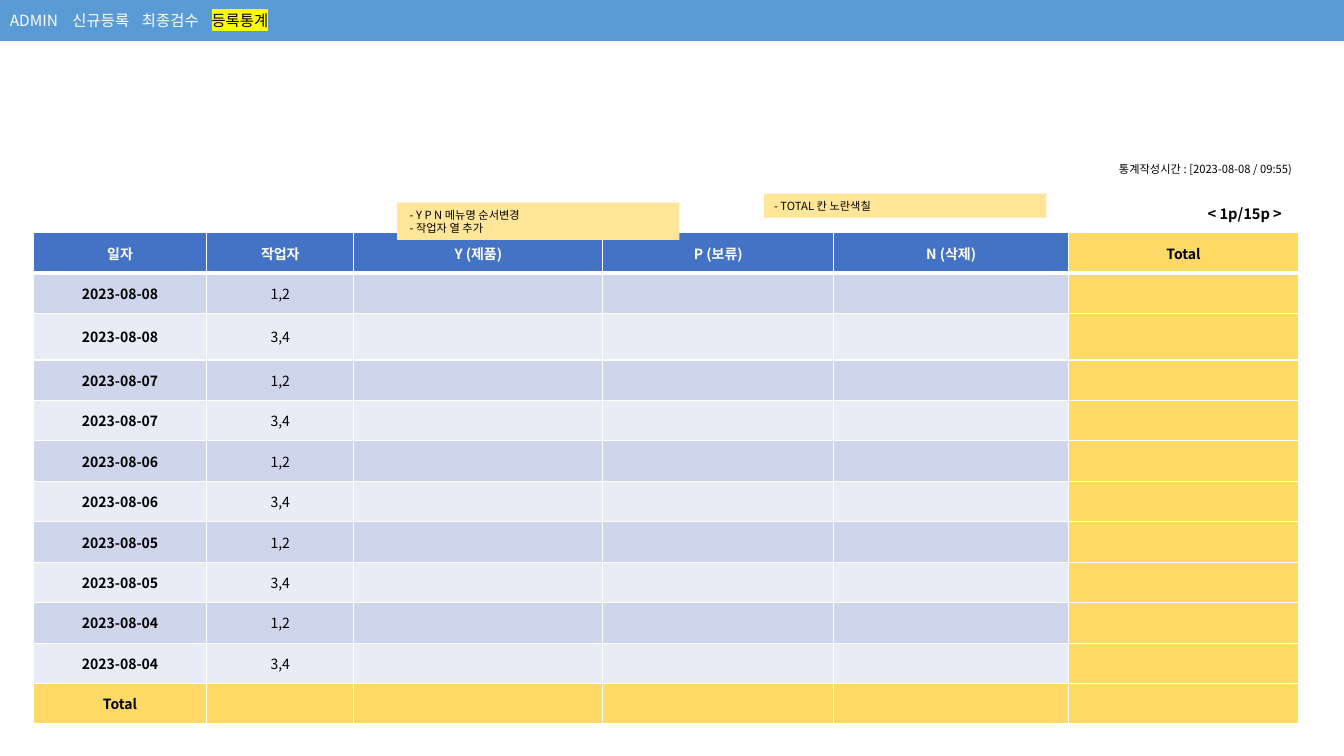
import pptx
import pptx.util
import pptx.dml.color
import pptx.enum.shapes
import pptx.enum.text
import pptx.oxml.ns
from lxml import etree

WIDE, HIGH = pptx.util.Inches(13.33), pptx.util.Inches(7.5)
FACE = "Noto Sans CJK KR"
BLACK, WHITE, GOLD, NOTE = "000000", "FFFFFF", "FFD966", "FFE699"
BLUE, BANDS = "4472C4", ("CFD5EA", "E9EBF5")
ANCHOR = pptx.enum.text.MSO_ANCHOR

MENU = ["ADMIN", "신규등록", "최종검수", "등록통계"]
HEADS = ["일자", "작업자", "Y (제품)", "P (보류)", "N (삭제)", "Total"]
DAYS = ["2023-08-08", "2023-08-07", "2023-08-06", "2023-08-05", "2023-08-04"]
TEAMS = ["1,2", "3,4"]
COLS = [12.9, 10.95, 18.53, 17.18, 17.48, 17.1]  # percent of slide width
ROW, TALL = 5.35, 6.13  # percent of slide height


def across(share):
    return round(WIDE * share / 100)


def down(share):
    return round(HIGH * share / 100)


def box(left, top, width, height):
    return across(left), down(top), across(width), down(height)


def color(code):
    return pptx.dml.color.RGBColor.from_string(code)


def node(parent, tag, **attrs):
    return etree.SubElement(parent, pptx.oxml.ns.qn(tag), **attrs)


def style(run, size, tint=BLACK, bold=False):
    font = run.font
    font.size, font.bold, font.name = pptx.util.Pt(size), bold, FACE
    font.color.rgb = color(tint)
    node(run._r.get_or_add_rPr(), "a:ea", typeface=FACE)


def mark(run, tint):
    props = run._r.get_or_add_rPr()
    light = node(props, "a:highlight")
    node(light, "a:srgbClr", val=tint)
    props.find(pptx.oxml.ns.qn("a:solidFill")).addnext(light)


def write(frame, lines, size, bold=False, anchor=ANCHOR.MIDDLE):
    frame.word_wrap = True
    frame.vertical_anchor = anchor
    frame.text = "\n".join(lines)
    for para in frame.paragraphs:
        para.alignment = pptx.enum.text.PP_ALIGN.LEFT
        for run in para.runs:
            style(run, size, bold=bold)


def panel(slide, area, fill):
    shape = slide.shapes.add_shape(pptx.enum.shapes.MSO_SHAPE.RECTANGLE, *area)
    shape.shadow.inherit = False
    shape.fill.solid()
    shape.fill.fore_color.rgb = color(fill)
    shape.line.fill.background()
    return shape.text_frame


def label(slide, area):
    return slide.shapes.add_textbox(*area).text_frame


def menu(slide):
    frame = panel(slide, box(0, 0, 100, 5.4), "5B9BD5")
    write(frame, ["\t".join(MENU[:-1]) + "\t"], 11)
    para = frame.paragraphs[0]
    tabs = node(para._p.get_or_add_pPr(), "a:tabLst")
    for i in range(len(MENU) - 1):
        stop = pptx.util.Inches(0.62 + 0.69 * i)
        node(tabs, "a:tab", pos=str(int(stop)), algn="l")
    for run in para.runs:
        run.font.color.rgb = color(WHITE)
    # Current page
    here = para.add_run()
    here.text = MENU[-1]
    style(here, 11)
    mark(here, "FFFF00")


def edge(props, spot, side, width):
    line = etree.Element(pptx.oxml.ns.qn("a:" + side),
                         w=str(int(pptx.util.Pt(width))))
    node(node(line, "a:solidFill"), "a:srgbClr", val=WHITE)
    props.insert(spot, line)


def fill_cell(cell, text, fill, tint, bold, top, base):
    cell.fill.solid()
    cell.fill.fore_color.rgb = color(fill)
    cell.vertical_anchor = ANCHOR.MIDDLE
    cell.text_frame.text = text
    para = cell.text_frame.paragraphs[0]
    para.alignment = pptx.enum.text.PP_ALIGN.CENTER
    for run in para.runs:
        style(run, 10, tint, bold)
    if not text:
        node(para._p, "a:endParaRPr", sz="1000")
    sides = zip(("lnL", "lnR", "lnT", "lnB"), (1, 1, top, base))
    for spot, (side, width) in enumerate(sides):
        edge(cell._tc.get_or_add_tcPr(), spot, side, width)


def stats(slide):
    rows = [HEADS] + [[day, team] for day in DAYS for team in TEAMS] + [["Total"]]
    last, end = len(rows) - 1, len(COLS) - 1
    area = box(2.48, 30.8, sum(COLS), ROW * last + TALL)
    table = slide.shapes.add_table(len(rows), len(COLS), *area).table
    for col, share in zip(table.columns, COLS):
        col.width = across(share)
    for r, texts in enumerate(rows):
        table.rows[r].height = down(TALL if r == 2 else ROW)
        for c in range(len(COLS)):
            gold = r == last or c == end
            fill = GOLD if gold else BANDS[(r - 1) % 2] if r else BLUE
            fill_cell(table.cell(r, c), texts[c] if c < len(texts) else "", fill,
                      BLACK if r or gold else WHITE, r == 0 or c == 0,
                      3 if r == 1 else 1, 3 if r == 0 else 1)


def main():
    deck = pptx.Presentation()
    deck.slide_width, deck.slide_height = WIDE, HIGH
    slide = deck.slides.add_slide(deck.slide_layouts[6])

    # Menu bar and statistics table
    menu(slide)
    stats(slide)

    # Time of the statistics
    write(label(slide, box(82.52, 20.8, 17.48, 3.2)),
          ["통계작성시간 : [2023-08-08 / 09:55)"], 8)

    # Change notes
    write(panel(slide, box(29.56, 26.8, 21, 4.93), NOTE),
          [" - Y P N 메뉴명 순서변경", " - 작업자 열 추가"], 8)
    write(panel(slide, box(56.86, 25.6, 21, 3.2), NOTE),
          ["- TOTAL 칸 노란색칠"], 8)

    # Page counter
    write(label(slide, box(89.12, 24.67, 8.48, 5.47)),
          ["< 1p/15p >"], 10.5, True, ANCHOR.BOTTOM)

    deck.save("out.pptx")


if __name__ == "__main__":
    main()
